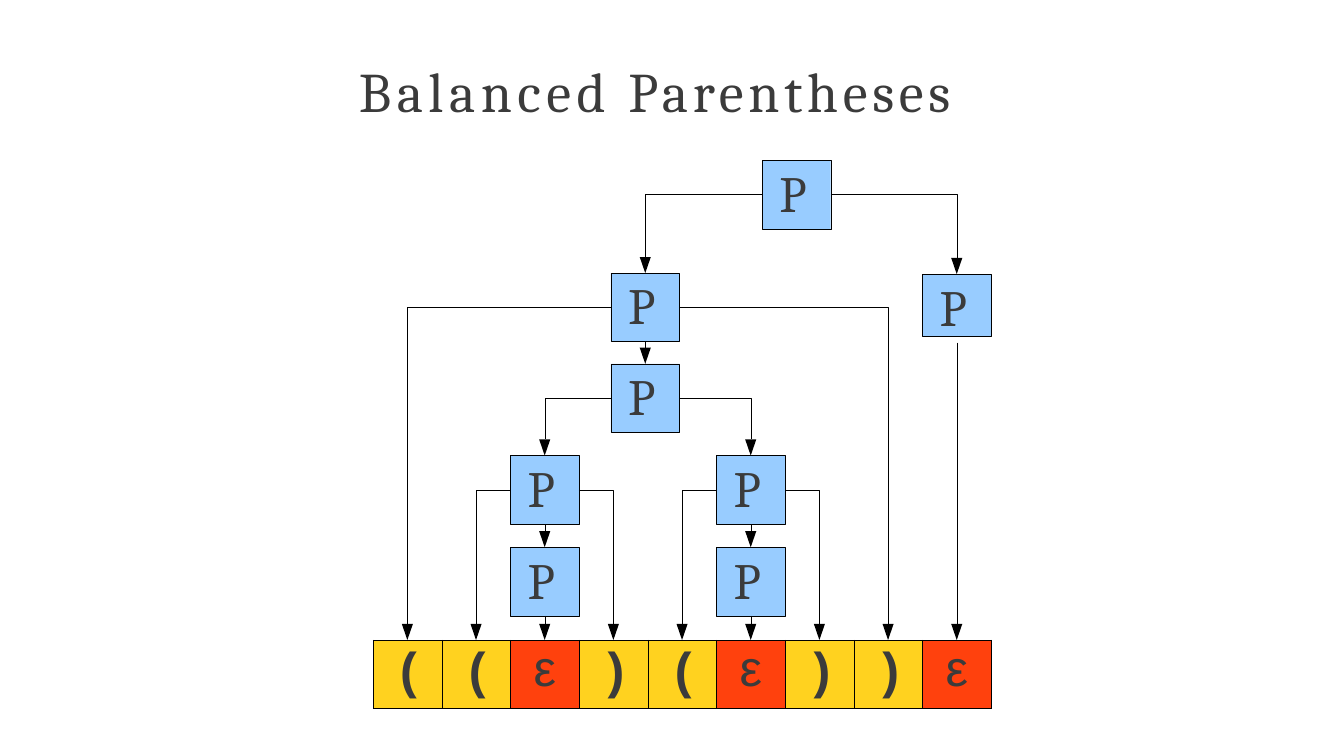
from dataclasses import dataclass

from lxml import etree
from pptx import Presentation
from pptx.dml.color import RGBColor
from pptx.enum.shapes import MSO_CONNECTOR, MSO_SHAPE
from pptx.enum.text import MSO_ANCHOR, MSO_AUTO_SIZE, PP_ALIGN
from pptx.oxml.ns import qn
from pptx.util import Inches, Pt

STRAIGHT = MSO_CONNECTOR.STRAIGHT
RECTANGLE = MSO_SHAPE.RECTANGLE
TOP = MSO_ANCHOR.TOP
NO_AUTOFIT = MSO_AUTO_SIZE.NONE
LEFT, CENTER = PP_ALIGN.LEFT, PP_ALIGN.CENTER

INK = RGBColor(0x3B, 0x3B, 0x3B)
BLACK = RGBColor(0x00, 0x00, 0x00)
BLUE = RGBColor(0x98, 0xCC, 0xFF)
YELLOW = RGBColor(0xFF, 0xD2, 0x1F)
RED = RGBColor(0xFF, 0x41, 0x0D)

HAIRLINE = Pt(0.25)
SIDE = 0.68
HEAD_WIDTH, HEAD_LENGTH = 0.11, 0.16
SYMBOLS = "((ε)(ε))ε"
STRIP_LEFT, STRIP_TOP, STRIP_WIDTH = 3.7, 6.35, 6.13
CELL_WIDTH = STRIP_WIDTH / len(SYMBOLS)


@dataclass(frozen=True)
class Node:
    """A tree node, placed by its horizontal centre and its top."""
    x: float
    top: float
    height: float = SIDE


@dataclass(frozen=True)
class Link:
    parent: Node
    child: Node


def leaf(column: int) -> Node:
    return Node(STRIP_LEFT + CELL_WIDTH * (column + 0.5), STRIP_TOP)


def over(column: int, top: float, height: float = SIDE) -> Node:
    """Node centred above one cell of the symbol strip."""
    return Node(leaf(column).x, top, height)


ROOT = Node(7.9, 1.59)
OUTER, PAIR = Node(6.4, 2.71), Node(6.4, 3.61)
RIGHT = over(8, 2.72, 0.62)
GROUP_1, GROUP_2 = over(2, 4.52), over(5, 4.52)
EMPTY_1, EMPTY_2 = over(2, 5.43), over(5, 5.43)

CHILDREN = {
    ROOT: [OUTER, RIGHT],
    OUTER: [leaf(0), PAIR, leaf(7)],
    PAIR: [GROUP_1, GROUP_2],
    GROUP_1: [leaf(1), EMPTY_1, leaf(3)],
    GROUP_2: [leaf(4), EMPTY_2, leaf(6)],
    EMPTY_1: [leaf(2)],
    EMPTY_2: [leaf(5)],
    RIGHT: [leaf(8)],
}
LINKS = [Link(parent, child) for parent, children in CHILDREN.items() for child in children]


def write(para, text: str, *, size: float, font: str = "Cambria", bold: bool = False,
          tracking: float = 0, indent: float = 0, before: float = 0,
          line: float | None = None, align=LEFT) -> None:
    para.alignment = align
    para.space_before = Pt(before)
    if line:
        para.line_spacing = Pt(line)
    properties = para._p.get_or_add_pPr()
    properties.set("marL", str(Inches(indent)))
    properties.set("indent", "0")
    span = para.add_run()
    span.text = text
    span.font.size = Pt(size)
    span.font.name = font
    span.font.bold = bold
    span.font.color.rgb = INK
    if tracking:
        span._r.get_or_add_rPr().set("spc", str(round(tracking * 100)))


def prepare_frame(frame) -> None:
    frame.word_wrap = True
    frame.auto_size = NO_AUTOFIT
    frame.vertical_anchor = TOP
    frame.margin_left = frame.margin_right = frame.margin_bottom = 0
    frame.margin_top = Inches(0.01)


def outline(shape) -> None:
    shape.line.color.rgb = BLACK
    shape.line.width = HAIRLINE


def add_title(page) -> None:
    title = page.shapes.title
    title.left, title.top = Inches(3.55), Inches(0.55)
    title.width, title.height = Inches(6.23), Inches(0.68)
    prepare_frame(title.text_frame)
    para = title.text_frame.paragraphs[0]
    for text, tracking in (("Balanced", 3.9), (" Parentheses", 3.4)):
        write(para, text, size=39.9, tracking=tracking, indent=0.01, before=0.9)


def add_node(page, node: Node) -> None:
    box = page.shapes.add_shape(RECTANGLE, Inches(node.x - SIDE / 2), Inches(node.top),
                                Inches(SIDE), Inches(node.height))
    box.shadow.inherit = False
    box.fill.solid()
    box.fill.fore_color.rgb = BLUE
    outline(box)
    prepare_frame(box.text_frame)
    write(box.text_frame.paragraphs[0], "P", size=36.3, tracking=3.8, indent=0.17, before=0.7)


def add_path(page, points: list[tuple[float, float]], closed: bool):
    start, *rest = [(Inches(x), Inches(y)) for x, y in points]
    builder = page.shapes.build_freeform(*start)
    builder.add_line_segments(rest, close=closed)
    shape = builder.convert_to_shape()
    shape.shadow.inherit = False
    return shape


def add_link(page, link: Link) -> None:
    parent, child = link.parent, link.child
    neck = child.top - HEAD_LENGTH
    if abs(parent.x - child.x) < 0.01:
        shaft = page.shapes.add_connector(STRAIGHT, Inches(child.x), Inches(parent.top + SIDE),
                                          Inches(child.x), Inches(neck))
        etree.SubElement(shaft._element.spPr, qn("a:effectLst"))
    else:
        edge = parent.x + (SIDE / 2 if child.x > parent.x else -SIDE / 2)
        middle = parent.top + SIDE / 2
        shaft = add_path(page, [(edge, middle), (child.x, middle), (child.x, neck)], False)
        shaft.fill.background()
    outline(shaft)
    half = HEAD_WIDTH / 2
    head = add_path(page, [(child.x + half, neck), (child.x - half, neck),
                           (child.x, child.top)], True)
    head.fill.solid()
    head.fill.fore_color.rgb = BLACK
    head.line.fill.background()


def add_cell_borders(cell) -> None:
    properties = cell._tc.get_or_add_tcPr()
    for position, side in enumerate(("lnL", "lnR", "lnT", "lnB")):
        border = etree.Element(qn(f"a:{side}"), w=str(HAIRLINE))
        fill = etree.SubElement(border, qn("a:solidFill"))
        etree.SubElement(fill, qn("a:srgbClr"), val=str(BLACK))
        properties.insert(position, border)


def add_symbol_strip(page) -> None:
    table = page.shapes.add_table(1, len(SYMBOLS), Inches(STRIP_LEFT), Inches(STRIP_TOP),
                                  Inches(STRIP_WIDTH), Inches(SIDE)).table
    table.first_row = table.horz_banding = False
    for column, symbol in enumerate(SYMBOLS):
        table.columns[column].width = Inches(CELL_WIDTH)
        cell = table.cell(0, column)
        is_empty = symbol == "ε"
        cell.margin_left = cell.margin_right = cell.margin_bottom = 0
        cell.margin_top = Inches(0.01) if is_empty else 0
        cell.vertical_anchor = TOP
        cell.fill.solid()
        cell.fill.fore_color.rgb = RED if is_empty else YELLOW
        add_cell_borders(cell)
        para = cell.text_frame.paragraphs[0]
        if is_empty:
            write(para, symbol, size=36, font="Arial", before=0.8, align=CENTER)
        else:
            write(para, symbol, size=36, font="Courier New", bold=True, indent=0.21, line=45.6)


def main() -> None:
    deck = Presentation()
    deck.slide_width, deck.slide_height = Inches(13.33), Inches(7.5)
    page = deck.slides.add_slide(deck.slide_layouts[5])
    add_title(page)
    for node in CHILDREN:
        add_node(page, node)
    add_symbol_strip(page)
    for link in LINKS:
        add_link(page, link)
    deck.save("out.pptx")


if __name__ == "__main__":
    main()
